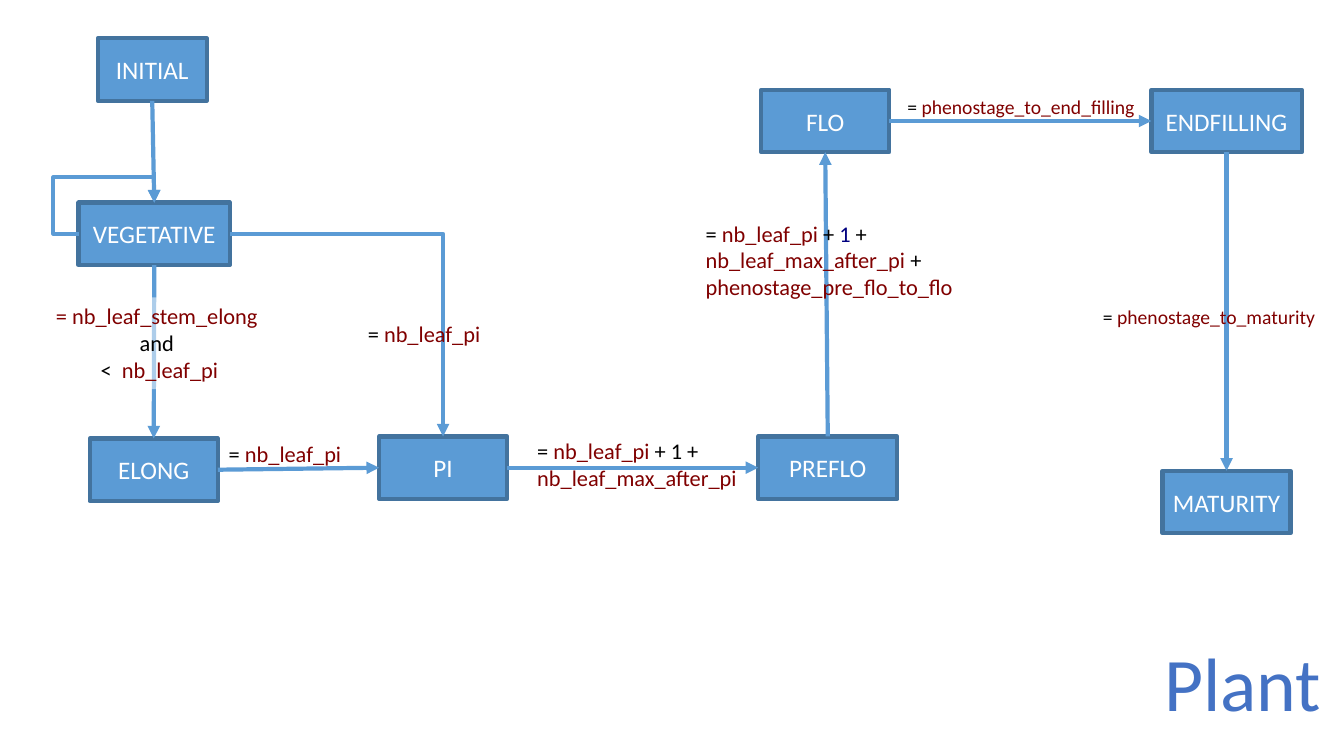
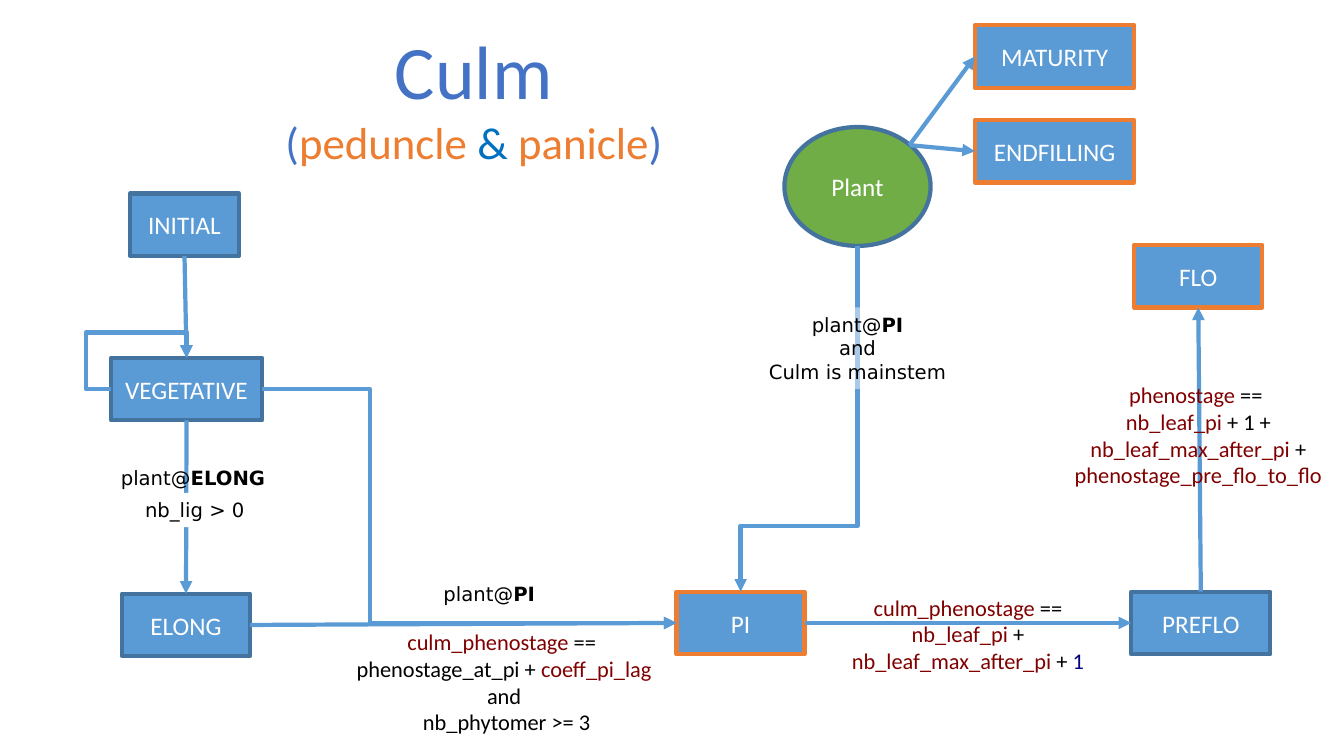
from pptx import Presentation, util as u
from pptx.dml import color
from pptx.enum import shapes, text
from pptx.oxml import ns
from lxml import etree

BLUE, EDGE, RUST, GREEN = "5B9BD5", "43739E", "ED7D31", "70AD47"
WHITE, BLACK, TITLE = "FFFFFF", "000000", "4472C4"
MARKS = {
    "~": {"hue": "800000"},
    "^": {"hue": "000080"},
    "*": {"bold": True},
    "%": {"hue": RUST},
    "$": {"hue": "0070C0"},
}
TOP, LEFT, BOTTOM, RIGHT = range(4)
PORTS = {TOP: (0.5, 0), LEFT: (0, 0.5), BOTTOM: (0.5, 1), RIGHT: (1, 0.5)}
MONO = {"size": 14, "face": "DejaVu Sans"}
TALL = 0.62
STEP = 1.27
MID = text.PP_ALIGN.CENTER


def rgb(hue):
    return color.RGBColor.from_string(hue)


def sub(node, tag, **attrs):
    return etree.SubElement(node, ns.qn(tag), attrs)


def write(frame, words, size=16, face="Calibri", hue=BLACK, align=None, sizes=None):
    for row, line in enumerate(words.split("\n")):
        para = frame.paragraphs[0] if row == 0 else frame.add_paragraph()
        para.alignment = align
        for piece in line.split("|"):
            style = MARKS.get(piece[0], {})
            run = para.add_run()
            run.text = piece[1:] if style else piece
            font = run.font
            font.name = face
            font.size = u.Pt(sizes[row] if sizes else size)
            font.bold = style.get("bold", False)
            font.color.rgb = rgb(style.get("hue", hue))


def node(slide, name, x, y, wide=STEP, tall=TALL, rim=EDGE, fill=BLUE,
         kind=shapes.MSO_SHAPE.RECTANGLE):
    shape = slide.shapes.add_shape(kind, *map(u.Inches, (x, y, wide, tall)))
    shape.shadow.inherit = False
    shape.fill.solid()
    shape.fill.fore_color.rgb = rgb(fill)
    shape.line.color.rgb = rgb(rim)
    shape.line.width = u.Pt(3)
    frame = shape.text_frame
    frame.word_wrap = False
    frame.vertical_anchor = text.MSO_ANCHOR.MIDDLE
    write(frame, name, size=18, hue=WHITE, align=MID)
    return shape


def label(slide, words, x, y, wide, tall, wrap=True, fill=None, alpha=100, **style):
    shape = slide.shapes.add_textbox(*map(u.Inches, (x, y, wide, tall)))
    frame = shape.text_frame
    frame.word_wrap = wrap
    frame.auto_size = text.MSO_AUTO_SIZE.SHAPE_TO_FIT_TEXT
    if fill:
        shape.fill.solid()
        shape.fill.fore_color.rgb = rgb(fill)
        tint = next(shape.element.spPr.iter(ns.qn("a:srgbClr")))
        sub(tint, "a:alpha", val=str(alpha * 1000))
    write(frame, words, **style)


def port(shape, side):
    fx, fy = PORTS[side]
    return int(shape.left + fx * shape.width), int(shape.top + fy * shape.height)


def wire(slide, start, end, bend=None, adjust=(), turn=False):
    if turn:
        cx, cy = (start[0] + end[0]) // 2, (start[1] + end[1]) // 2
        half, rise = (end[1] - start[1]) // 2, (start[0] - end[0]) // 2
        start, end = (cx - half, cy - rise), (cx + half, cy + rise)
    kind = shapes.MSO_CONNECTOR.ELBOW if bend else shapes.MSO_CONNECTOR.STRAIGHT
    line = slide.shapes.add_connector(kind, *start, *end)
    line.line.color.rgb = rgb(BLUE)
    line.line.width = u.Pt(3)
    props = line.element.spPr
    sub(line.line._get_or_add_ln(), "a:tailEnd", type="triangle")
    sub(props, "a:effectLst")
    if turn:
        props.find(ns.qn("a:xfrm")).set("rot", "5400000")
    if bend:
        geom = props.find(ns.qn("a:prstGeom"))
        geom.set("prst", f"bentConnector{bend}")
        guides = geom.find(ns.qn("a:avLst"))
        for num, share in enumerate(adjust, 1):
            name = f"adj{num}" if len(adjust) > 1 or bend == 3 else "adj"
            sub(guides, "a:gd", name=name, fmla=f"val {round(share * 100000)}")
    return line


def link(slide, first, side, last, into):
    line = wire(slide, port(first, side), port(last, into))
    line.begin_connect(first, side)
    line.end_connect(last, into)


def stem(slide, x, y):
    init = node(slide, "INITIAL", x + 0.19, y, 1.08)
    veg = node(slide, "VEGETATIVE", x, y + 1.63, 1.5)
    elong = node(slide, "ELONG", x + 0.11, y + 3.97)
    link(slide, init, BOTTOM, veg, TOP)
    link(slide, veg, BOTTOM, elong, TOP)
    wire(slide, port(veg, LEFT), port(veg, TOP), 4, (-0.334, 1.809))
    return veg, elong


def bloom(slide, elong, x, y, start, rim=EDGE):
    flo = node(slide, "FLO", x + 0.03, y, rim=rim)
    pre = node(slide, "PREFLO", x, y + 3.44, 1.38)
    pi = node(slide, "PI", start, y + 3.44, rim=rim)
    link(slide, elong, RIGHT, pi, LEFT)
    link(slide, pi, RIGHT, pre, LEFT)
    link(slide, pre, TOP, flo, BOTTOM)
    return pi, flo


def plant(slide):
    veg, elong = stem(slide, 0.78, 0.38)
    pi, flo = bloom(slide, elong, 7.52, 0.89, 3.76)
    fill = node(slide, "ENDFILLING", 11.42, 0.89, 1.49)
    ripe = node(slide, "MATURITY", 11.53, 4.67)
    link(slide, flo, RIGHT, fill, LEFT)
    link(slide, fill, BOTTOM, ripe, TOP)
    wire(slide, port(veg, RIGHT), port(pi, TOP), 2)
    label(slide, "Plant", 11.44, 6.26, 1.77, 1.01, wrap=False, size=54,
          hue=TITLE, align=MID)
    label(slide, "~= nb_leaf_stem_elong \nand \n<  |~nb_leaf_pi", 0.44, 2.95, 2.28, 0.91,
          fill=WHITE, alpha=50, align=MID)
    label(slide, "= |~nb_leaf_pi ", 3.55, 3.13, 1.38, 0.37, wrap=False)
    label(slide, "= |~nb_leaf_pi ", 2.17, 4.32, 1.69, 0.37)
    label(slide, "= |~nb_leaf_pi |+ 1 +\n~nb_leaf_max_after_pi", 5.23, 4.29, 2.34, 0.64)
    label(slide, "= |~nb_leaf_pi |+ |^1 |+ |~nb_leaf_max_after_pi |+ |~phenostage_pre_flo_to_flo",
          6.9, 2.13, 2.95, 0.91)
    label(slide, "= |~phenostage_to_end_filling", 8.9, 0.89, 2.55, 0.34, size=14)
    label(slide, "= |~phenostage_to_maturity", 10.84, 2.98, 2.96, 0.34, size=14)


def culm(slide):
    veg, elong = stem(slide, 1.1, 1.92)
    pi, flo = bloom(slide, elong, 11.22, 2.43, 6.71, RUST)
    wire(slide, port(veg, RIGHT), port(pi, LEFT), 3, (0.26,))
    label(slide, "Culm\n(|%peduncle |$& |%panicle|)", 2.71, 0.19, 3.98, 1.55, wrap=False,
          hue=TITLE, align=MID, sizes=(54, 32))
    label(slide, "plant@|*ELONG", 1.1, 4.57, 1.71, 0.34, **MONO)
    label(slide, "nb_lig > 0", 1.34, 4.89, 1.23, 0.34, wrap=False, fill=WHITE, **MONO)
    label(slide, "plant@|*PI", 4.3, 5.72, 1.52, 0.34, **MONO)
    label(slide, "~culm_phenostage |==  \nphenostage_at_pi + |~coeff_pi_lag \nand \n"
          "nb_phytomer >= 3", 3.13, 6.18, 3.79, 1.18, align=MID)
    label(slide, "~culm_phenostage |== |~nb_leaf_pi |+ |~nb_leaf_max_after_pi |+ |^1",
          8.21, 5.84, 2.78, 0.91, align=MID)
    label(slide, "~phenostage| == \n~nb_leaf_pi |+ 1 + |~nb_leaf_max_after_pi |+ |"
          "~phenostage_pre_flo_to_flo", 10.38, 3.73, 3.01, 1.18, align=MID)
    whole = node(slide, "Plant", 7.78, 1.26, 1.45, 1.18, fill=GREEN,
                 kind=shapes.MSO_SHAPE.OVAL)
    fork = u.Inches(9.02), u.Inches(1.44)
    for name, y in (("ENDFILLING", 1.19), ("MATURITY", 0.25)):
        goal = node(slide, name, 9.67, y, 1.58, rim=RUST)
        wire(slide, fork, port(goal, LEFT))
    wire(slide, port(whole, BOTTOM), port(pi, TOP), 3, (0.81,), turn=True)
    label(slide, "plant@|*PI\nand\nCulm is mainstem", 7.5, 3.05, 2.01, 0.81,
          fill=WHITE, alpha=48, align=MID, **MONO)


deck = Presentation()
deck.slide_width, deck.slide_height = u.Inches(13.33), u.Inches(7.5)
for draw in (plant, culm):
    draw(deck.slides.add_slide(deck.slide_layouts[6]))
deck.save("out.pptx")
